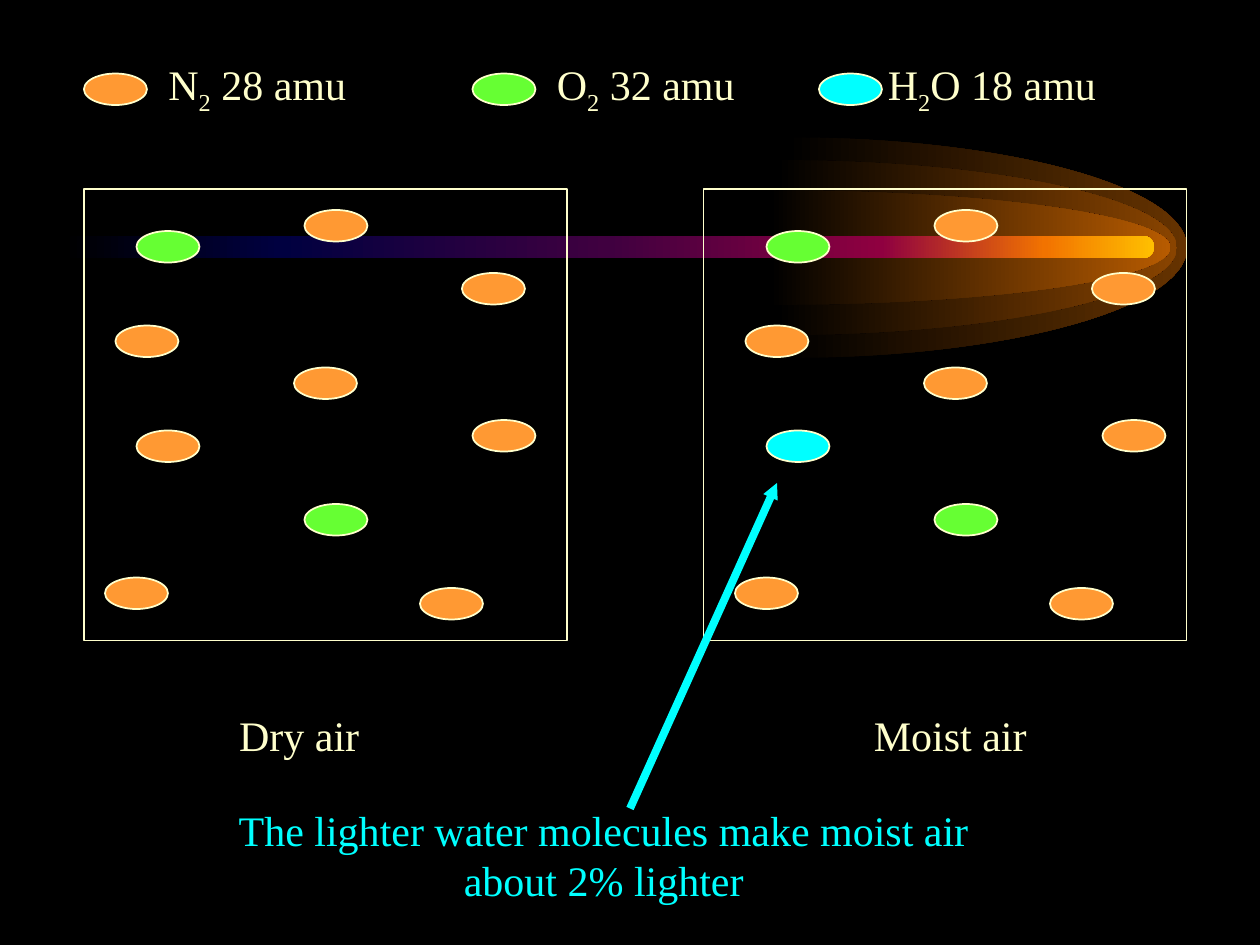
from lxml.etree import SubElement
from pptx import Presentation
from pptx.dml.color import RGBColor
from pptx.enum.shapes import MSO_CONNECTOR as Connector, MSO_SHAPE as Shape
from pptx.enum.text import MSO_AUTO_SIZE as AutoSize, PP_ALIGN as Align
from pptx.oxml.ns import qn
from pptx.util import Inches, Pt

THEME = {
    "font": "Times New Roman", "size": 24, "outline": 1, "arrow": 4.5,
    "background": "000000", "text": "FFFFCC", "accent": "00FFFF",
    "N2": "FF9933", "O2": "66FF33", "H2O": "00FFFF",
    "beam": [(0, "000000"), (20, "000040"), (50, "400040"),
             (75, "8F0040"), (90, "F27300"), (100, "FFBF00")],
}

# Diagram lengths are in grid steps of one twelfth of an inch
STEPS_PER_INCH = 12

# Legend: molecule, left of oval, left of label, extra right inset in inches, runs
LEGEND = [
    ("N2", 8, 10, 0, ["N", "2", " 28 amu"]),
    ("O2", 45, 47, 0, ["O", "2", " 32 amu"]),
    ("H2O", 78, 81, 0.17, ["H", "2", "O 18 amu"]),
]
# Samples: caption, left of frame, left of caption, shift of molecules, swapped molecule
SAMPLES = [
    ("Dry air", 8, 14, 0, "N2"),
    ("Moist air", 67, 76, 60, "H2O"),
]
SWAPPED = "swapped"
MOLECULES = [
    ("O2", 13, 22), ("N2", 11, 31), (SWAPPED, 13, 41), ("N2", 44, 26),
    ("N2", 29, 20), ("N2", 28, 35), ("N2", 45, 40), ("O2", 29, 48),
    ("N2", 40, 56), ("N2", 10, 55),
]
CONCLUSION = "The lighter water molecules make moist air about 2% lighter"

# Comet glow in inches: left, top, height, colour at the head
GLOWS = [(6.24, 1.09, 1.75, "663300"), (6.16, 1.27, 1.39, "894400"),
         (6.11, 1.51, 0.91, "B75B00")]
GLOW_WIDTH = 3.18
ARC_HANDLE = 0.55


def color(value):
    return RGBColor.from_string(value)


def grid(*steps):
    return [Inches(step / STEPS_PER_INCH) for step in steps]


def fill_gradient(shape, stops):
    shape.shadow.inherit = False
    shape.line.fill.background()
    shape.fill.gradient()
    shape.fill.gradient_angle = 0
    stop_list = shape._element.spPr.find(".//" + qn("a:gsLst"))
    for old_stop in list(stop_list):
        stop_list.remove(old_stop)
    for percent, value in stops:
        stop = SubElement(stop_list, qn("a:gs"), pos=str(percent * 1000))
        SubElement(stop, qn("a:srgbClr"), val=value)


def add_half_ellipse(slide, left, top, width, height):
    right, middle, bottom = left + width, top + height / 2, top + height
    builder = slide.shapes.build_freeform(Inches(left), Inches(top))
    builder.add_line_segments(
        [(Inches(right), Inches(middle)), (Inches(left), Inches(bottom))], close=True)
    shape = builder.convert_to_shape()

    # Turn the two straight sides into quarter arcs
    reach, rise = ARC_HANDLE * width, ARC_HANDLE * height / 2
    arcs = [
        [(reach, 0), (width, height / 2 - rise), (width, height / 2)],
        [(width, height / 2 + rise), (reach, height), (0, height)],
    ]
    lines = list(shape._element.spPr.iter(qn("a:lnTo")))
    for line, arc in zip(lines, arcs):
        outline = line.getparent()
        curve = SubElement(outline, qn("a:cubicBezTo"))
        for across, down in arc:
            SubElement(curve, qn("a:pt"), x=str(Inches(across)), y=str(Inches(down)))
        outline.replace(line, curve)
    return shape


def add_comet(slide):
    for left, top, height, head in GLOWS:
        glow = add_half_ellipse(slide, left, top, GLOW_WIDTH, height)
        fill_gradient(glow, [(0, THEME["background"]), (100, head)])
    beam = slide.shapes.add_shape(
        Shape.ROUNDED_RECTANGLE, Inches(0.5), Inches(1.87), Inches(8.66), Inches(0.18))
    beam.adjustments[0] = 0.5
    fill_gradient(beam, THEME["beam"])


def add_outlined(slide, kind, left, top, width, height, fill=None):
    shape = slide.shapes.add_shape(kind, *grid(left, top, width, height))
    shape.shadow.inherit = False
    if fill:
        shape.fill.solid()
        shape.fill.fore_color.rgb = color(fill)
    else:
        shape.fill.background()
    shape.line.color.rgb = color(THEME["text"])
    shape.line.width = Pt(THEME["outline"])


def add_molecule(slide, name, left, top):
    add_outlined(slide, Shape.OVAL, left, top, 6, 3, THEME[name])


def add_label(slide, runs, left, top, width=29, height=6, tint="text", inset=0):
    box = slide.shapes.add_textbox(*grid(left, top, width, height))
    frame = box.text_frame
    frame.word_wrap = True
    frame.auto_size = AutoSize.SHAPE_TO_FIT_TEXT
    frame.margin_right = Inches(0.1 + inset)
    para = frame.paragraphs[0]
    para.alignment = Align.CENTER
    for text in runs:
        span = para.add_run()
        span.text = text
        span.font.name = THEME["font"]
        span.font.size = Pt(THEME["size"])
        span.font.color.rgb = color(THEME[tint])
        if text == "2":
            span.font._element.set("baseline", "-25000")


def add_arrow(slide, start, end):
    arrow = slide.shapes.add_connector(Connector.STRAIGHT, *grid(*start, *end))
    arrow.line.color.rgb = color(THEME["accent"])
    arrow.line.width = Pt(THEME["arrow"])
    SubElement(arrow.line._get_or_add_ln(), qn("a:tailEnd"),
               type="triangle", w="sm", len="sm")
    SubElement(arrow._element.spPr, qn("a:effectLst"))


def main():
    deck = Presentation()
    deck.slide_width, deck.slide_height = Inches(10), Inches(7.5)
    page = deck.slides.add_slide(deck.slide_layouts[6])
    page.background.fill.solid()
    page.background.fill.fore_color.rgb = color(THEME["background"])

    add_comet(page)

    # Frames, captions, then the molecules inside
    for _, frame_left, _, _, _ in SAMPLES:
        add_outlined(page, Shape.RECTANGLE, frame_left, 18, 46, 43)
    for caption, _, caption_left, _, _ in SAMPLES:
        add_label(page, [caption], caption_left, 67)
    for _, _, _, shift, swapped in SAMPLES:
        for name, left, top in MOLECULES:
            add_molecule(page, swapped if name == SWAPPED else name, left + shift, top)

    # Legend
    for name, oval_left, label_left, inset, runs in LEGEND:
        add_molecule(page, name, oval_left, 7)
        add_label(page, runs, label_left, 5, inset=inset)

    # Conclusion pointing at the water molecule
    add_arrow(page, (60, 77), (74, 46))
    add_label(page, [CONCLUSION], 21, 76, 73, 11, "accent")

    deck.save("out.pptx")


if __name__ == "__main__":
    main()
